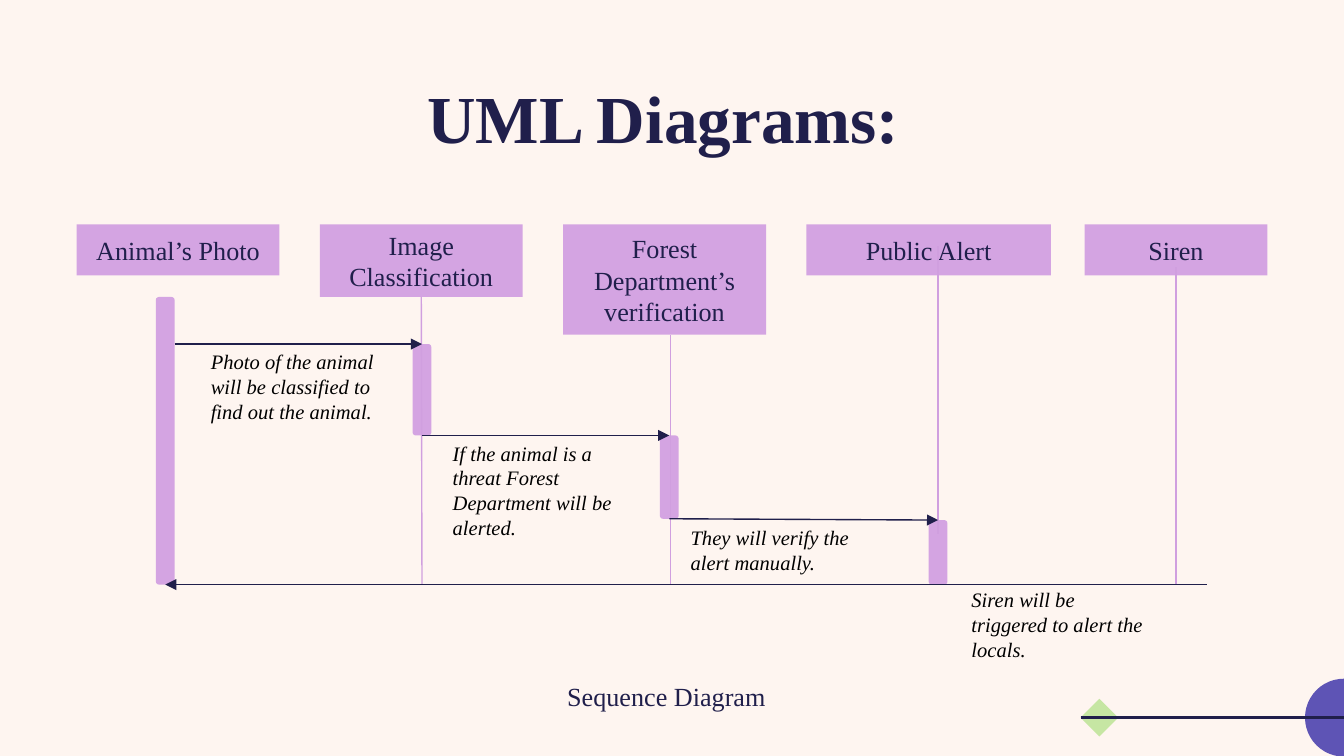
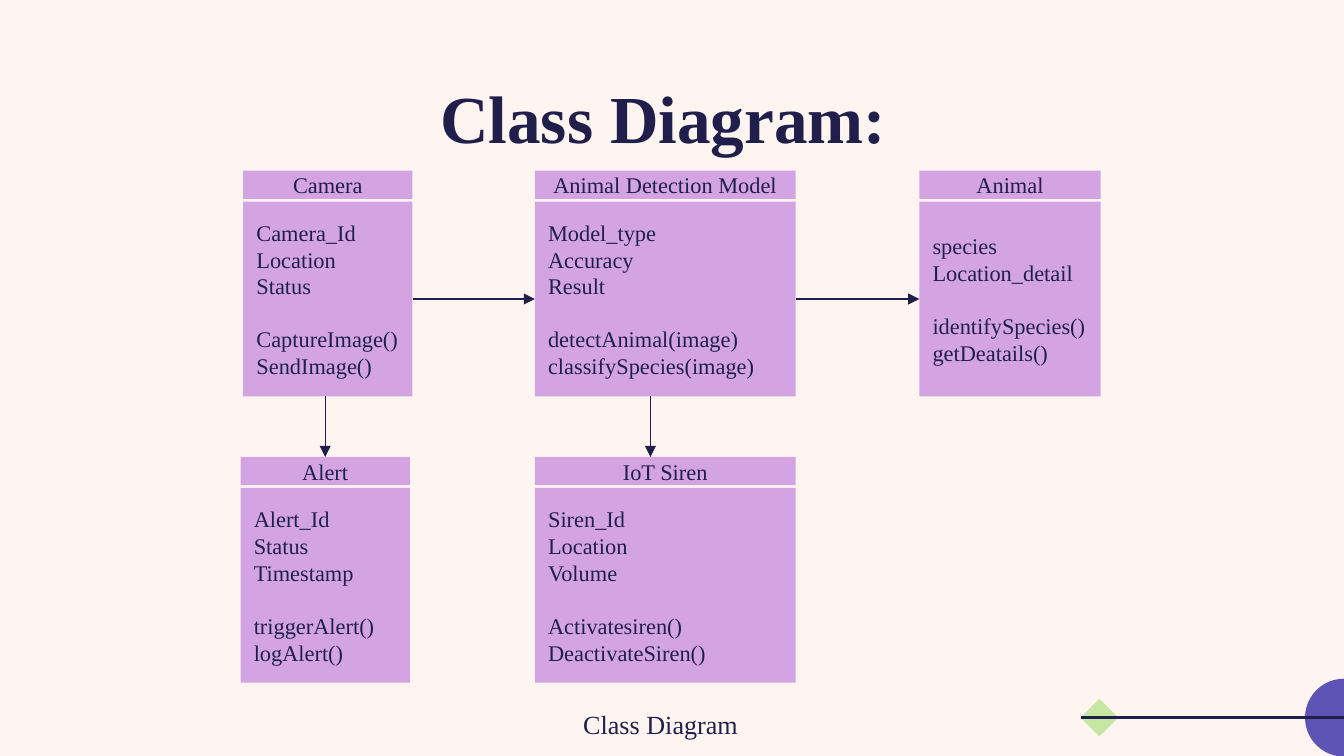
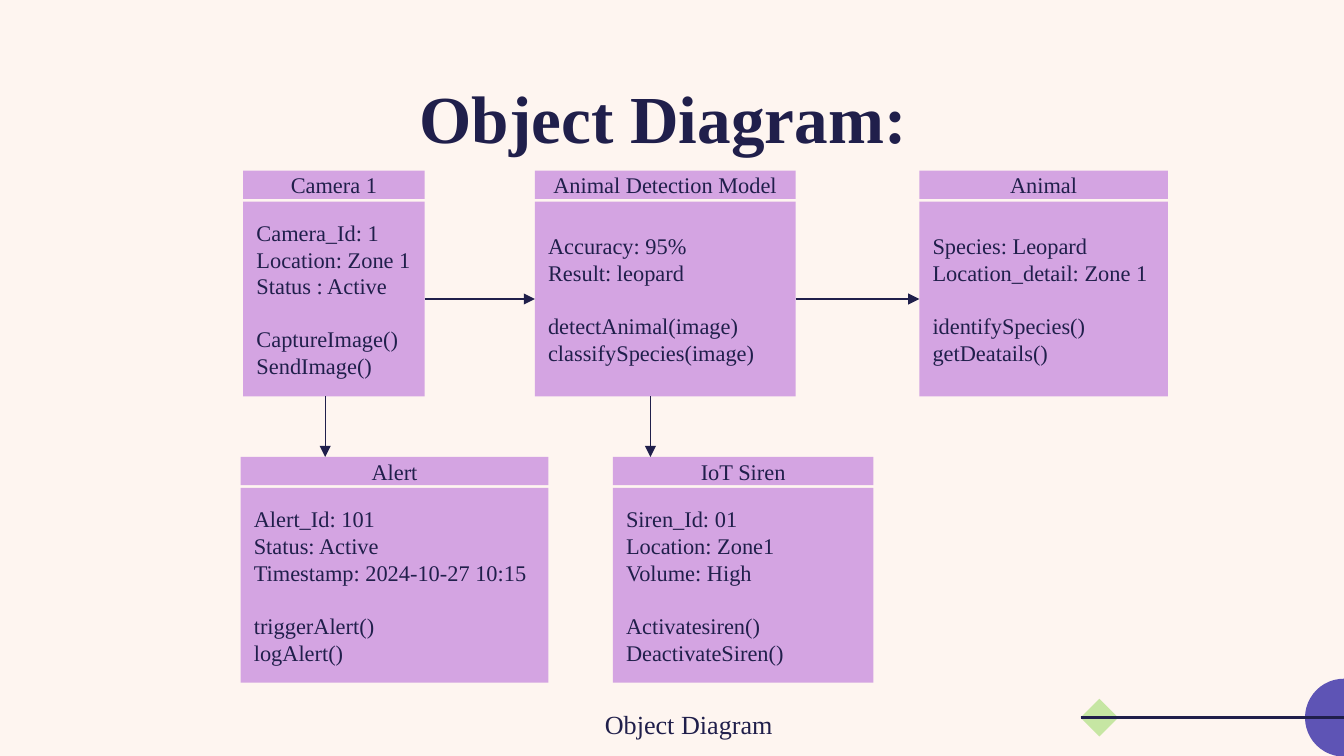
from dataclasses import dataclass
from itertools import pairwise

from lxml.etree import SubElement
from pptx import Presentation
from pptx.dml.color import RGBColor
from pptx.enum.shapes import MSO_CONNECTOR, MSO_SHAPE, MSO_SHAPE_TYPE
from pptx.enum.text import MSO_ANCHOR, MSO_AUTO_SIZE, PP_ALIGN
from pptx.oxml.ns import qn
from pptx.util import Inches, Pt


@dataclass(frozen=True)
class Theme:
    font: str = "Times New Roman"
    paper: str = "FEF5F0"
    ink: str = "201F4B"
    black: str = "000000"
    box: str = "D4A4E2"
    life: str = "D09FDF"
    disc: str = "5E54B5"
    gem: str = "C6E6A3"
    title: int = 36
    label: int = 14
    card: int = 12
    note: int = 11
    gap: int = 14


T = Theme()

# Sequence diagram: left, width, height, label
ACTORS_TOP = 1.67
ACTORS = [
    (0.57, 1.51, 0.38, "Animal’s Photo"),
    (2.38, 1.51, 0.54, "Image Classification"),
    (4.19, 1.51, 0.82, "Forest Department’s verification"),
    (6, 1.82, 0.38, "Public Alert"),
    (8.07, 1.36, 0.38, "Siren"),
]
FLOOR = 4.35
BAR_W = 0.14
BARS = [(1.16, 2.21, FLOOR), (3.07, 2.56, 3.24), (4.91, 3.24, 3.86),
        (6.91, 3.87, FLOOR)]  # left, top, bottom
LIVES = [(3.14, 2.21, FLOOR), (4.99, 2.49, FLOOR), (6.98, 1.83, 3.97),
         (8.75, 1.99, FLOOR)]  # x, top, bottom
CALLS = [((1.3, 2.56), (3.14, 2.56)), ((3.14, 3.24), (4.98, 3.24)),
         ((4.98, 3.86), (6.98, 3.87)), ((8.98, FLOOR), (1.23, FLOOR))]
NOTE_W = 1.54
NOTES = [
    (1.47, 2.55, 0.66, "Photo of the animal will be classified to find out the animal."),
    (3.27, 3.23, 0.84, "If the animal is a threat Forest Department will be alerted."),
    (5.04, 3.86, 0.47, "They will verify the alert manually."),
    (7.13, 4.32, 0.66, "Siren will be triggered to alert the locals."),
]

# Class and object diagrams
ROWS = (1.27, 3.4)
HEAD_H, BODY_DY, BODY_H = 0.21, 0.23, 1.45
DROPS = (2.42, 4.84)
METHODS = {
    "camera": ["CaptureImage()", "SendImage()"],
    "model": ["detectAnimal(image)", "classifySpecies(image)"],
    "animal": ["identifySpecies()", "getDeatails()"],
    "alert": ["triggerAlert()", "logAlert()"],
    "siren": ["Activatesiren()", "DeactivateSiren()"],
}
# row, left, width, name, fields, key of the methods
CLASSES = [
    (0, 1.81, 1.26, "Camera", ["Camera_Id", "Location", "Status"], "camera"),
    (0, 3.98, 1.94, "Animal Detection Model",
     ["Model_type", "Accuracy", "Result"], "model"),
    (0, 6.84, 1.35, "Animal", ["species", "Location_detail"], "animal"),
    (1, 1.79, 1.26, "Alert", ["Alert_Id", "Status", "Timestamp"], "alert"),
    (1, 3.98, 1.94, "IoT Siren", ["Siren_Id", "Location", "Volume"], "siren"),
]
OBJECTS = [
    (0, 1.81, 1.35, "Camera 1",
     ["Camera_Id: 1", "Location: Zone 1", "Status : Active"], "camera"),
    (0, 3.98, 1.94, "Animal Detection Model",
     ["Accuracy: 95%", "Result: leopard"], "model"),
    (0, 6.84, 1.85, "Animal",
     ["Species: Leopard", "Location_detail: Zone 1"], "animal"),
    (1, 1.79, 2.29, "Alert",
     ["Alert_Id: 101", "Status: Active", "Timestamp: 2024-10-27 10:15"], "alert"),
    (1, 4.56, 1.94, "IoT Siren",
     ["Siren_Id: 01", "Location: Zone1", "Volume: High"], "siren"),
]


def rgb(code):
    return RGBColor.from_string(code)


def write(para, text, size, color=T.ink, align=PP_ALIGN.LEFT, bold=False, italic=False):
    para.alignment = align
    run = para.add_run()
    run.text = text
    font = run.font
    font.name, font.size, font.bold, font.italic = T.font, Pt(size), bold, italic
    font.color.rgb = rgb(color)


def shape(slide, kind, at, fill):
    item = slide.shapes.add_shape(kind, *map(Inches, at))
    item.shadow.inherit = False
    item.fill.solid()
    item.fill.fore_color.rgb = rgb(fill)
    item.line.fill.background()
    return item


def block(slide, at, text="", size=T.label):
    item = shape(slide, MSO_SHAPE.RECTANGLE, at, T.box)
    item.text_frame.vertical_anchor = MSO_ANCHOR.MIDDLE
    if text:
        write(item.text_frame.paragraphs[0], text, size, align=PP_ALIGN.CENTER)
    return item


def label(slide, at):
    frame = slide.shapes.add_textbox(*map(Inches, at)).text_frame
    frame.word_wrap = True
    return frame


def sides(item):
    """Middles of the top, left, bottom and right side, in inches."""
    x, y, w, h = (v / Inches(1) for v in (item.left, item.top, item.width, item.height))
    return [(x + w / 2, y), (x, y + h / 2), (x + w / 2, y + h), (x + w, y + h / 2)]


def snap(slide, point, join):
    """Join a line's end to the shape whose side has its middle at the point."""
    for item in slide.shapes:
        if item.shape_type != MSO_SHAPE_TYPE.AUTO_SHAPE:
            continue
        for site, (x, y) in enumerate(sides(item)):
            if max(abs(x - point[0]), abs(y - point[1])) < 0.015:
                join(item, site)
                return


def draw(slide, start, end, color=T.ink, width=0.75, arrow=True):
    line = slide.shapes.add_connector(MSO_CONNECTOR.STRAIGHT, *map(Inches, start + end))
    line.line.color.rgb = rgb(color)
    line.line.width = Pt(width)
    props = line.element.spPr
    if arrow:
        SubElement(props.find(qn("a:ln")), qn("a:tailEnd"), type="triangle")
    SubElement(props, qn("a:effectLst"))
    snap(slide, start, line.begin_connect)
    snap(slide, end, line.end_connect)


def start(deck, title, caption, at, align=PP_ALIGN.CENTER):
    """Add a slide with its title, caption and corner ornament."""
    slide = deck.slides.add_slide(deck.slide_layouts[5])
    head = slide.shapes.title
    head.left, head.top, head.width, head.height = map(Inches, (0.89, 0.35, 8.09, 0.92))
    frame = head.text_frame
    frame.auto_size = MSO_AUTO_SIZE.NONE
    frame.vertical_anchor = MSO_ANCHOR.BOTTOM
    frame.margin_top = frame.margin_bottom = Inches(0.1)
    write(frame.paragraphs[0], title, T.title, align=PP_ALIGN.CENTER, bold=True)

    shape(slide, MSO_SHAPE.OVAL, (9.71, 5.05, 0.58, 0.58), T.disc)
    shape(slide, MSO_SHAPE.DIAMOND, (8.04, 5.2, 0.28, 0.28), T.gem)
    draw(slide, (8.04, 5.34), (10.29, 5.34), width=1.5, arrow=False)

    frame = label(slide, at)
    frame.margin_left = Inches(0.25)
    frame.margin_top = frame.margin_bottom = Inches(0.1)
    write(frame.paragraphs[0], caption, T.label, align=align)
    return slide


def trace(slide):
    """Draw the sequence diagram."""
    for x, w, h, name in ACTORS:
        block(slide, (x, ACTORS_TOP, w, h), name)
    for x, top, foot in BARS:
        shape(slide, MSO_SHAPE.ROUNDED_RECTANGLE, (x, top, BAR_W, foot - top), T.box)
    for x, top, foot in LIVES:
        draw(slide, (x, foot), (x, top), T.life, arrow=False)
    for tail, tip in CALLS:
        draw(slide, tail, tip)
    for x, y, h, text in NOTES:
        frame = label(slide, (x, y, NOTE_W, h))
        write(frame.paragraphs[0], text, T.note, T.black, italic=True)


def card(slide, row, x, w, name, fields, key):
    y = ROWS[row]
    block(slide, (x, y, w, HEAD_H), name, T.card)
    body = block(slide, (x, y + BODY_DY, w, BODY_H))
    frame = body.text_frame
    for i, text in enumerate(fields + METHODS[key]):
        para = frame.add_paragraph() if i else frame.paragraphs[0]
        if i == len(fields):
            para.space_before = Pt(T.gap)
        write(para, text, T.card)
    return body


def chart(slide, cards):
    """Draw a class or object diagram."""
    bodies = [card(slide, *item) for item in cards]
    for one, two in pairwise(bodies[:3]):
        draw(slide, sides(one)[3], sides(two)[1])
    for x in DROPS:
        draw(slide, (x, ROWS[0] + BODY_DY + BODY_H), (x, ROWS[1]))


def main():
    deck = Presentation()
    deck.slide_width = Inches(10)
    deck.slide_height = deck.slide_width * 9 // 16
    back = deck.slide_master.background.fill
    back.solid()
    back.fore_color.rgb = rgb(T.paper)

    trace(start(deck, "UML Diagrams:", "Sequence Diagram",
                (3.97, 4.96, 1.95, 0.47), PP_ALIGN.JUSTIFY))
    chart(start(deck, "Class Diagram:", "Class Diagram",
                (4.08, 5.17, 1.52, 0.47)), CLASSES)
    chart(start(deck, "Object Diagram:", "Object Diagram",
                (4.08, 5.17, 1.94, 0.47)), OBJECTS)
    deck.save("out.pptx")


if __name__ == "__main__":
    main()
